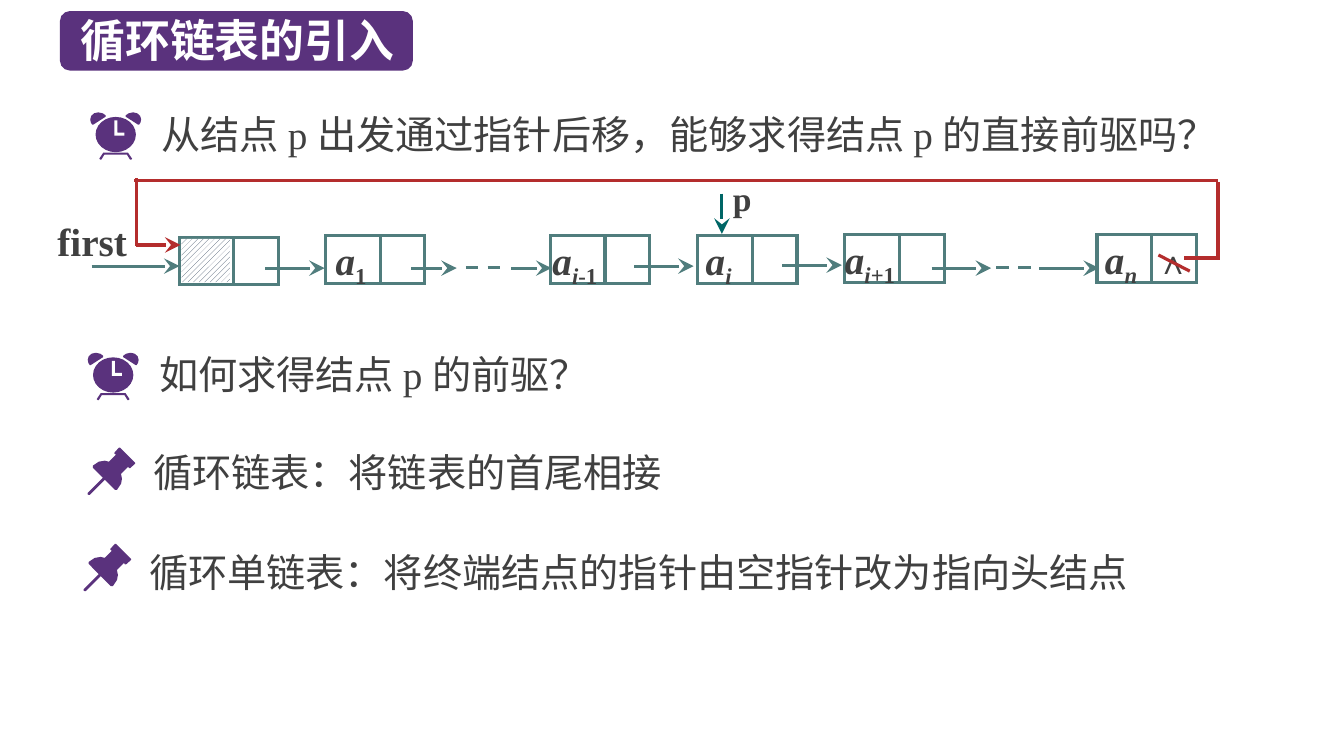
"""Build a slide that introduces circular linked lists."""
from lxml import etree
from pptx import Presentation
from pptx.dml.color import RGBColor
from pptx.enum.dml import MSO_LINE, MSO_PATTERN
from pptx.enum.shapes import MSO_CONNECTOR, MSO_SHAPE
from pptx.enum.text import MSO_ANCHOR, PP_ALIGN
from pptx.oxml.ns import qn
from pptx.util import Inches, Pt

RECT, ROUND, OVAL = MSO_SHAPE.RECTANGLE, MSO_SHAPE.ROUNDED_RECTANGLE, MSO_SHAPE.OVAL
TOP, MIDDLE, BOTTOM = MSO_ANCHOR.TOP, MSO_ANCHOR.MIDDLE, MSO_ANCHOR.BOTTOM
STRAIGHT, DASH, LEFT = MSO_CONNECTOR.STRAIGHT, MSO_LINE.DASH, PP_ALIGN.LEFT
HATCH = MSO_PATTERN.WIDE_UPWARD_DIAGONAL

THEME = {
    "purple": RGBColor(0x5A, 0x32, 0x7D),
    "teal": RGBColor(0x50, 0x7D, 0x7D),
    "green": RGBColor(0x00, 0x66, 0x66),
    "red": RGBColor(0xB4, 0x2D, 0x2D),
    "slate": RGBColor(0x44, 0x54, 0x6A),
    "ink": RGBColor(0x40, 0x40, 0x40),
    "white": RGBColor(0xFF, 0xFF, 0xFF),
    "latin": "Times New Roman",
    "cjk": "Noto Sans CJK SC",
    "title": Pt(32),
    "body": Pt(28),
    "small": Pt(24),
    "line": Pt(2.25),
}
CELL = Inches(0.1)


def emu(*cells):
    """Turn grid cells into whole lengths."""
    return [round(c * CELL) for c in cells]


def write(s, runs, size="body", color="ink", font="latin", bold=True,
          anchor=MIDDLE, insets=(0, 0, 0, 0)):
    """Fill a shape with runs given as (text, italic, subscript)."""
    tf = s.text_frame
    tf.word_wrap = True
    tf.vertical_anchor = anchor
    tf.margin_left, tf.margin_top, tf.margin_right, tf.margin_bottom = emu(*insets)
    p = tf.paragraphs[0]
    p.alignment = LEFT
    for text, italic, subscript in runs:
        r = p.add_run()
        r.text = text
        r.font.name = THEME[font]
        r.font.size = THEME[size]
        r.font.bold = bold
        r.font.italic = italic
        r.font.color.rgb = THEME[color]
        rPr = r.font._element
        etree.SubElement(rPr, qn("a:ea")).set("typeface", THEME["cjk"])
        if subscript:
            rPr.set("baseline", "-25000")


prs = Presentation()
prs.slide_width, prs.slide_height = Inches(13.33), Inches(7.5)
shapes = prs.slides.add_slide(prs.slide_layouts[6]).shapes

banner = shapes.add_shape(ROUND, *emu(5.95, 1.1, 35, 5.9))
banner.shadow.inherit = False
banner.fill.solid()
banner.fill.fore_color.rgb = THEME["purple"]
banner.line.fill.background()
title = shapes.add_textbox(*emu(7, 0.7, 33.9, 6.4))
write(title, [("循环链表的引入", False, False)], "title", "white", "cjk",
      insets=(1, 0.5, 1, 0.5))

points = [
    (15.05, 10.4, 111.4, "从结点 p 出发通过指针后移，能够求得结点 p 的直接前驱吗？"),
    (14.8, 34.2, 103.6, "如何求得结点 p 的前驱？"),
    (14.2, 44, 112.3, "循环链表：将链表的首尾相接"),
    (13.8, 53.9, 112.8, "循环单链表：将终端结点的指针由空指针改为指向头结点"),
]
for x, y, w, text in points:
    s = shapes.add_textbox(*emu(x, y, w, 5.7))
    write(s, [(text, False, False)], bold=False, insets=(1, 0.5, 1, 0.5))

ear = [(8, 0), (4, 0.9), (1, 3.5), (0, 7), (0.6, 10), (2, 12.2), (3, 12.2),
       (15.3, 4.3), (15.3, 3), (12.5, 1)]
foot = [(13, 40), (9, 46), (10, 47), (11, 47), (14, 42)]
CLOCK = [
    ("purple", ear),
    ("purple", [(50.5 - x, y) for x, y in ear]),
    ("purple", foot + [(50.5 - x, y) for x, y in reversed(foot)]),
    ("white", [(24, 8), (27, 8), (27, 20), (34, 20), (34, 23), (24, 23)]),
]
PIN = [
    ("purple", [(47, 15), (32, 0), (31, 0), (26.5, 5), (26.5, 6), (28, 7), (21, 14),
                (17, 13), (11, 14), (5, 18), (5, 20), (27, 42), (29, 42), (33, 36),
                (34, 31), (33, 26), (40, 19), (41, 20.5), (42, 20.5), (47, 16)]),
    ("purple", [(0, 46.5), (1, 47), (2, 47), (18, 31), (19, 30), (17.5, 28.5),
                (16, 29), (0, 45)]),
]
icons = [(CLOCK, 8.95, 11.15), (CLOCK, 8.7, 35), (PIN, 8.7, 44.4), (PIN, 8.3, 53.95)]
for parts, left, top in icons:
    drawn = []
    if parts is CLOCK:
        face = shapes.add_shape(OVAL, *emu(left + 0.53, top + 0.45, 4, 3.5))
        drawn.append((face, "purple"))
    for color, outline in parts:
        dots = [(round(left * 100 + x * 10), round(top * 100 + y * 10)) for x, y in outline]
        pen = shapes.build_freeform(*dots[0], scale=CELL / 100)
        pen.add_line_segments(dots[1:], close=True)
        drawn.append((pen.convert_to_shape(), color))
    for s, color in drawn:
        s.shadow.inherit = False
        s.fill.solid()
        s.fill.fore_color.rgb = THEME[color]
        s.line.fill.background()

a = ("a", True, False)
i = ("i", True, True)
nodes = [
    (17.8, 23.55, 0, []),
    (32.3, 23.4, 1, [a, ("1", False, True)]),
    (54.6, 23.4, 0.2, [a, i, ("-1", False, True)]),
    (69.2, 23.4, 0.8, [a, i]),
    (83.8, 23.3, 0, [a, i, ("+1", False, True)]),
    (108.8, 23.3, 0.8, [a, ("n", True, True)]),
]
wires = []
for x, y, indent, runs in nodes:
    s = shapes.add_shape(RECT, *emu(x, y, 9.85, 4.7))
    s.shadow.inherit = False
    s.fill.background()
    s.line.color.rgb = THEME["teal"]
    s.line.width = THEME["line"]
    etree.SubElement(s._element.spPr.find(qn("a:ln")), qn("a:miter")).set("lim", "800000")
    write(s, runs, anchor=TOP, insets=(indent, 0, 0, 0))
    wires.append((x + 5.4, y, x + 5.4, y + 4.7, "teal", ""))

head = shapes.add_shape(RECT, *emu(18, 23.7, 4.8, 4.3))
head.shadow.inherit = False
head.fill.patterned()
head.fill.pattern = HATCH
head.fill.fore_color.rgb = THEME["slate"]
head.fill.back_color.rgb = THEME["white"]
head.line.fill.background()

labels = [
    ("first", 5.7, 21.5, 8.3, 5.1, "body", BOTTOM, (0, 0, 0, 0.4)),
    ("∧", 113.7, 23.4, 4.9, 5, "small", MIDDLE, (1, 0.5, 1, 0.5)),
    ("p", 72.7, 17.7, 2.7, 4, "small", MIDDLE, (0, 0, 0, 0)),
]
for text, x, y, w, h, size, anchor, insets in labels:
    s = shapes.add_textbox(*emu(x, y, w, h))
    write(s, [(text, False, False)], size, anchor=anchor, insets=insets)

links = [(9.1, 17.8, 26.4), (26.3, 32.2, 26.6), (40.8, 45.3, 26.6), (50.7, 54.7, 26.6),
         (62.9, 68.8, 26.4), (77.6, 83.5, 26.3), (92.4, 98.3, 26.6), (103.1, 109, 26.6)]
wires += [(x1, y, x2, y, "teal", "arrow") for x1, x2, y in links]
wires += [(x, 26.5, x + 3.5, 26.5, "teal", "dash") for x in (46.2, 98.8)]
wires += [
    (71.6, 19.2, 71.6, 23.2, "green", "arrow"),
    (120.6, 25.6, 117.4, 25.6, "red", ""),
    (120.8, 18.1, 120.8, 25.8, "red", ""),
    (13.3, 17.9, 120.8, 17.9, "red", ""),
    (13.5, 17.7, 13.5, 24.4, "red", ""),
    (13.5, 24.3, 17.9, 24.3, "red", "arrow"),
    (118, 26.9, 114.9, 25.3, "red", ""),
]
for x1, y1, x2, y2, color, style in wires:
    s = shapes.add_connector(STRAIGHT, *emu(x1, y1, x2, y2))
    s.line.color.rgb = THEME[color]
    s.line.width = THEME["line"]
    if style == "dash":
        s.line.dash_style = DASH
    if style == "arrow":
        tail = etree.SubElement(s._element.spPr.find(qn("a:ln")), qn("a:tailEnd"))
        for key, value in (("type", "stealth"), ("w", "lg"), ("len", "lg")):
            tail.set(key, value)
    etree.SubElement(s._element.spPr, qn("a:effectLst"))

prs.save("out.pptx")
